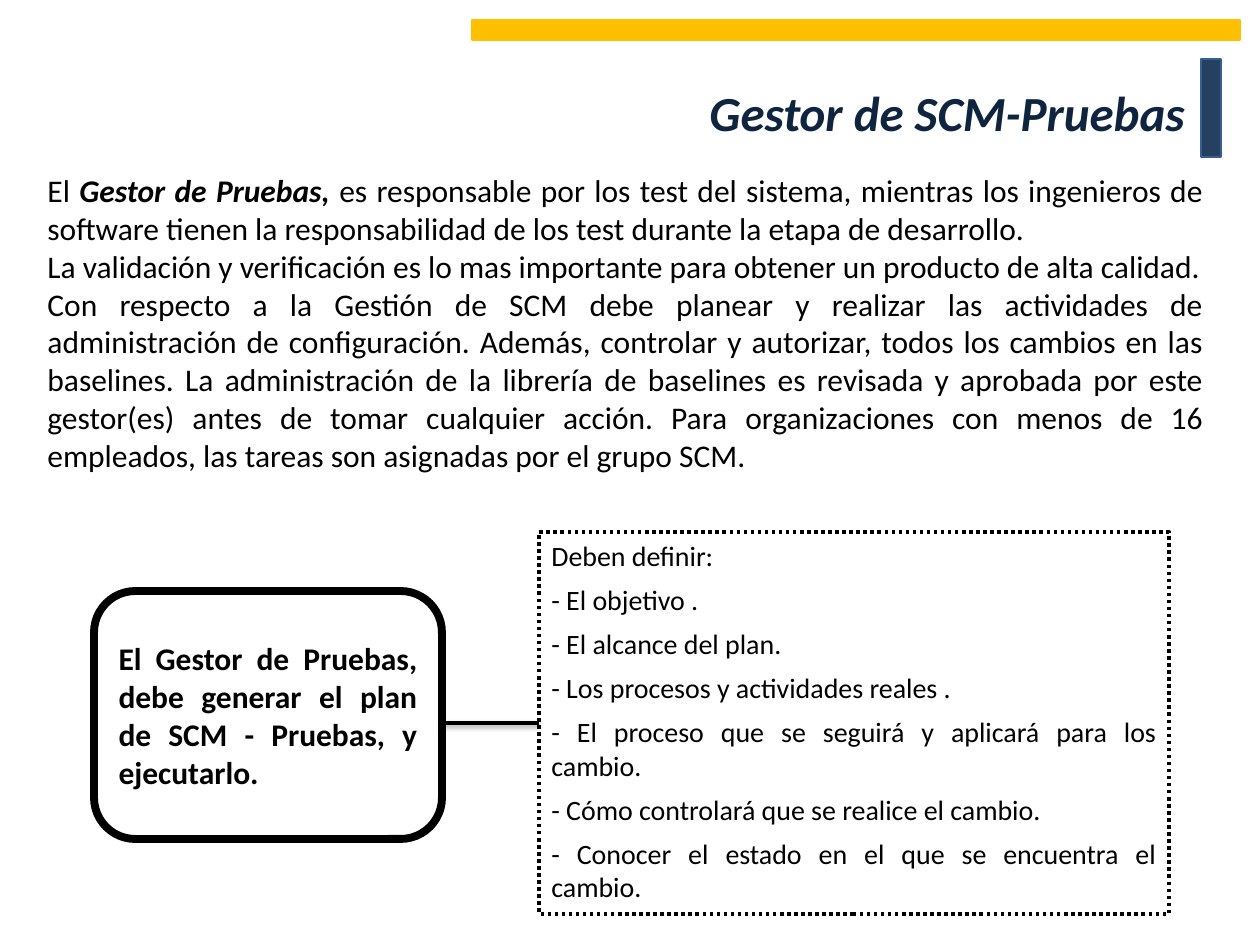
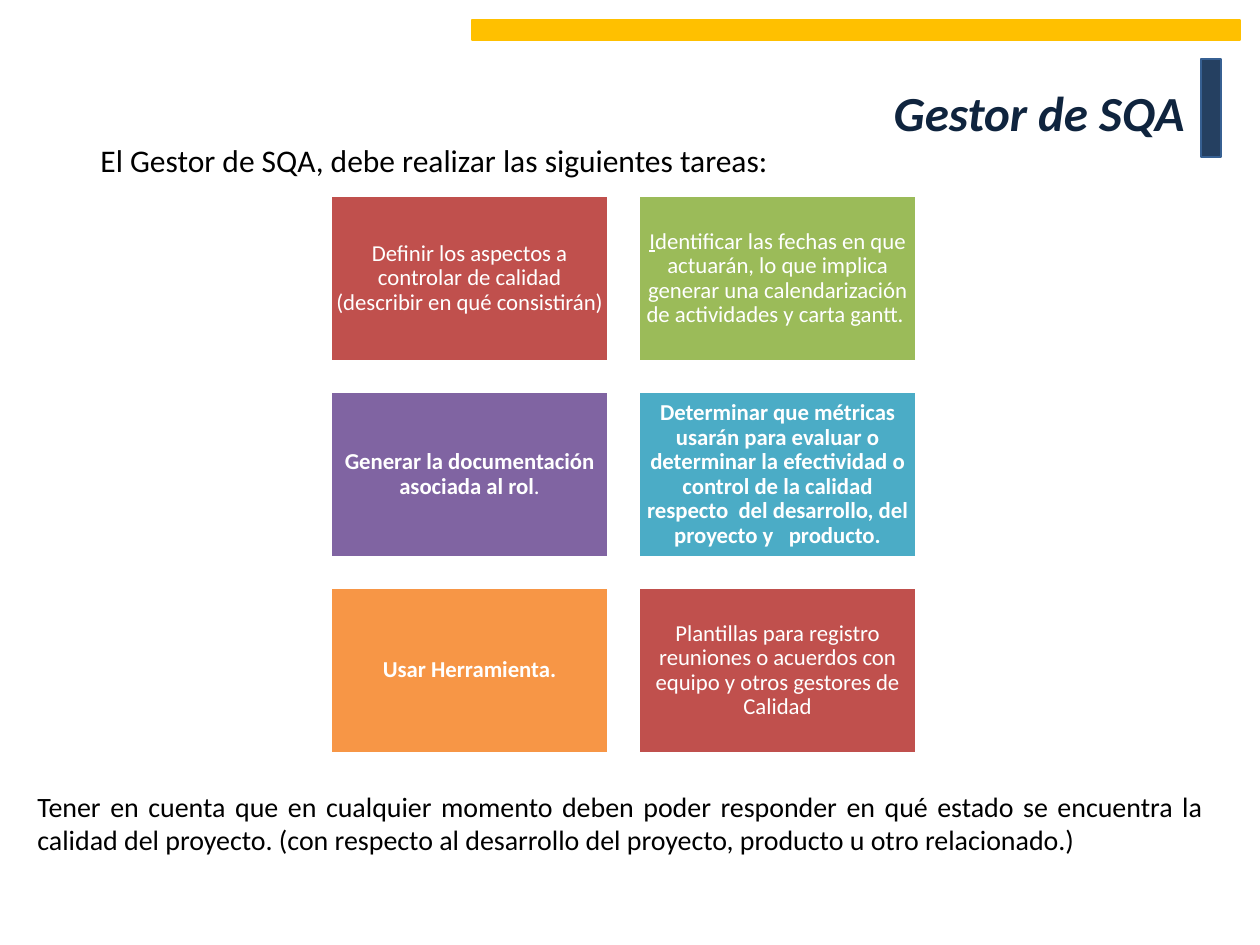
"""Build two slides on the SCM testing manager and the SQA manager."""
from dataclasses import dataclass

from lxml import etree
from pptx import Presentation
from pptx import util as u
from pptx.dml.color import RGBColor
from pptx.enum import dml, shapes, text
from pptx.oxml import parse_xml
from pptx.oxml.ns import nsdecls

SCALE = 914400 / 126
JUSTIFY, CENTER, RIGHT = text.PP_ALIGN.JUSTIFY, text.PP_ALIGN.CENTER, text.PP_ALIGN.RIGHT
TOP, MIDDLE = text.MSO_ANCHOR.TOP, text.MSO_ANCHOR.MIDDLE


@dataclass(frozen=True)
class Theme:
    font: str = "Calibri"
    black: str = "000000"
    white: str = "FFFFFF"
    heading: str = "0F243E"
    navy: str = "254061"
    navy_edge: str = "376092"
    gold: str = "FFC000"
    red: str = "C0504D"
    green: str = "9BBB59"
    purple: str = "8064A2"
    teal: str = "4BACC6"
    orange: str = "F79646"
    title_size: int = 28
    body_size: int = 18
    note_size: int = 16
    tile_size: int = 13


THEME = Theme()
BOLD = {"bold": True}
BOLD_ITALIC = {"bold": True, "italic": True}

MANAGER_DUTIES = [
    [("El ", {}), ("Gestor de Pruebas, ", BOLD_ITALIC),
     ("es responsable por los test del sistema, mientras los ingenieros de software "
      "tienen la responsabilidad de los test durante la etapa de desarrollo.", {})],
    [("La validación y verificación es lo mas importante para obtener un producto "
      "de alta calidad.", {})],
    [("Con respecto a la Gestión de SCM debe planear y realizar las actividades de "
      "administración de configuración. Además, controlar y autorizar, todos los cambios "
      "en las baselines. La administración de la librería de baselines es revisada y "
      "aprobada por este gestor(es) antes de tomar cualquier acción. Para organizaciones "
      "con menos de 16 empleados, las tareas son asignadas por el grupo SCM.", {})],
]
PLAN_ORDER = [[("El Gestor de Pruebas, debe generar el plan de SCM - Pruebas, y ejecutarlo.", BOLD)]]
PLAN_CONTENTS = [[(line, {})] for line in (
    "Deben definir:",
    "- El objetivo .",
    "- El alcance del plan.",
    "- Los procesos y actividades reales .",
    "- El proceso que se seguirá y aplicará para los cambio.",
    "- Cómo controlará que se realice el cambio.",
    "- Conocer el estado en el que se encuentra el cambio.",
)]
SQA_TASKS = [
    (THEME.red, [("Definir los aspectos a controlar de calidad (describir en qué consistirán)", {})]),
    (THEME.green, [("I", {"underline": True}),
                   ("dentificar las fechas en que actuarán, lo que implica generar una "
                    "calendarización de actividades y carta gantt. ", {})]),
    (THEME.purple, [("Generar la documentación asociada al rol", BOLD), (".", {})]),
    (THEME.teal, [("Determinar que métricas usarán para evaluar o determinar la efectividad o "
                   "control de la calidad respecto  del desarrollo, del proyecto y   producto.", BOLD)]),
    (THEME.orange, [("Usar Herramienta.", BOLD)]),
    (THEME.red, [("Plantillas para registro reuniones o acuerdos con equipo y otros "
                  "gestores de Calidad", {})]),
]
SQA_INTRO = [[("El Gestor de SQA, debe realizar las siguientes tareas:", {})]]
SQA_REMINDER = [[("Tener en cuenta que en cualquier momento deben poder responder en qué estado "
                  "se encuentra la calidad del proyecto. (con respecto al desarrollo del proyecto, "
                  "producto u otro relacionado.)", {})]]


def px(length):
    """Turn px into EMU."""
    return u.Emu(round(length * SCALE))


def apply(target, values):
    """Set each named attribute on the target."""
    for name, value in values.items():
        setattr(target, name, value)


def write(holder, paragraphs, size, color=THEME.black, align=JUSTIFY, anchor=TOP, inset=None, **spacing):
    """Fill a shape or text box with paragraphs of formatted runs."""
    frame = holder.text_frame
    apply(frame, {"word_wrap": True, "auto_size": text.MSO_AUTO_SIZE.NONE, "vertical_anchor": anchor})
    if inset is not None:
        apply(frame, {f"margin_{side}": px(inset) for side in ("left", "top", "right", "bottom")})
    for index, runs in enumerate(paragraphs):
        paragraph = frame.add_paragraph() if index else frame.paragraphs[0]
        apply(paragraph, {"alignment": align, **spacing})
        for wording, emphasis in runs:
            run = paragraph.add_run()
            run.text = wording
            apply(run.font, {"name": THEME.font, "size": u.Pt(size), **emphasis})
            run.font.color.rgb = RGBColor.from_string(color)


def add_text(slide, box, paragraphs, size, **options):
    """Add a text box."""
    write(slide.shapes.add_textbox(*map(px, box)), paragraphs, size, **options)


def add_block(slide, box, fill, edge, width, kind=shapes.MSO_SHAPE.RECTANGLE, dash=None):
    """Add a filled and outlined block without shadow."""
    block = slide.shapes.add_shape(kind, *map(px, box))
    block.shadow.inherit = False
    block.fill.solid()
    block.fill.fore_color.rgb = RGBColor.from_string(fill)
    block.line.color.rgb = RGBColor.from_string(edge)
    apply(block.line, {"width": u.Pt(width), "dash_style": dash})
    return block


def add_link(slide, start, end, target, side):
    """Draw a softly shadowed line that ends on a block's side."""
    link = slide.shapes.add_connector(shapes.MSO_CONNECTOR.STRAIGHT, *map(px, start + end))
    link.end_connect(target, side)
    link.line.color.rgb = RGBColor.from_string(THEME.black)
    link.line.width = u.Pt(2)
    effects = etree.SubElement(link._element.spPr, parse_xml(f"<a:effectLst {nsdecls('a')}/>").tag)
    effects.append(parse_xml(
        f'<a:outerShdw {nsdecls("a")} blurRad="{u.Pt(3.1)}" dist="{u.Pt(1.6)}" dir="5400000" '
        f'rotWithShape="0"><a:srgbClr val="{THEME.black}"><a:alpha val="38000"/></a:srgbClr>'
        '</a:outerShdw>'))


def add_titled_slide(deck, title):
    """Add a blank slide with the shared bars and title."""
    slide = deck.slides.add_slide(deck.slide_layouts[6])
    add_block(slide, (1201, 59, 20, 98), THEME.navy, THEME.navy_edge, 0.75)
    add_block(slide, (472, 20, 768, 20), THEME.gold, THEME.gold, 0.75)
    add_text(slide, (512, 48, 685, 127), [[(title, BOLD_ITALIC)]], THEME.title_size,
             color=THEME.heading, align=RIGHT, anchor=MIDDLE)
    return slide


def build_testing_slide(deck):
    """Build the testing manager slide."""
    slide = add_titled_slide(deck, "Gestor de SCM-Pruebas")
    add_text(slide, (35, 165, 1181, 320), MANAGER_DUTIES, THEME.body_size)
    order = add_block(slide, (94, 591, 348, 248), THEME.white, THEME.black, 4.5,
                      shapes.MSO_SHAPE.ROUNDED_RECTANGLE)
    write(order, PLAN_ORDER, THEME.body_size, anchor=MIDDLE)
    contents = add_block(slide, (539, 532, 630, 382), THEME.white, THEME.black, 2,
                         dash=dml.MSO_LINE.ROUND_DOT)
    write(contents, PLAN_CONTENTS, THEME.note_size, space_after=u.Pt(6))
    add_link(slide, (442, 723), (539, 723), contents, 1)


def build_sqa_slide(deck):
    """Build the SQA manager slide with its grid of tasks."""
    slide = add_titled_slide(deck, "Gestor de SQA")
    add_text(slide, (88, 135, 1128, 50), SQA_INTRO, THEME.body_size)
    for index, (fill, task) in enumerate(SQA_TASKS):
        row, column = divmod(index, 2)
        tile = add_block(slide, (330 + 308 * column, 195 + 196 * row, 279, 167), fill, THEME.white, 2)
        write(tile, [task], THEME.tile_size, color=THEME.white, align=CENTER, anchor=MIDDLE,
              inset=6, line_spacing=0.9)
    add_text(slide, (25, 783, 1191, 85), SQA_REMINDER, THEME.note_size)


def main():
    """Build and save the deck."""
    deck = Presentation()
    apply(deck, {"slide_width": px(1260), "slide_height": px(945)})
    build_testing_slide(deck)
    build_sqa_slide(deck)
    deck.save("out.pptx")


if __name__ == "__main__":
    main()
